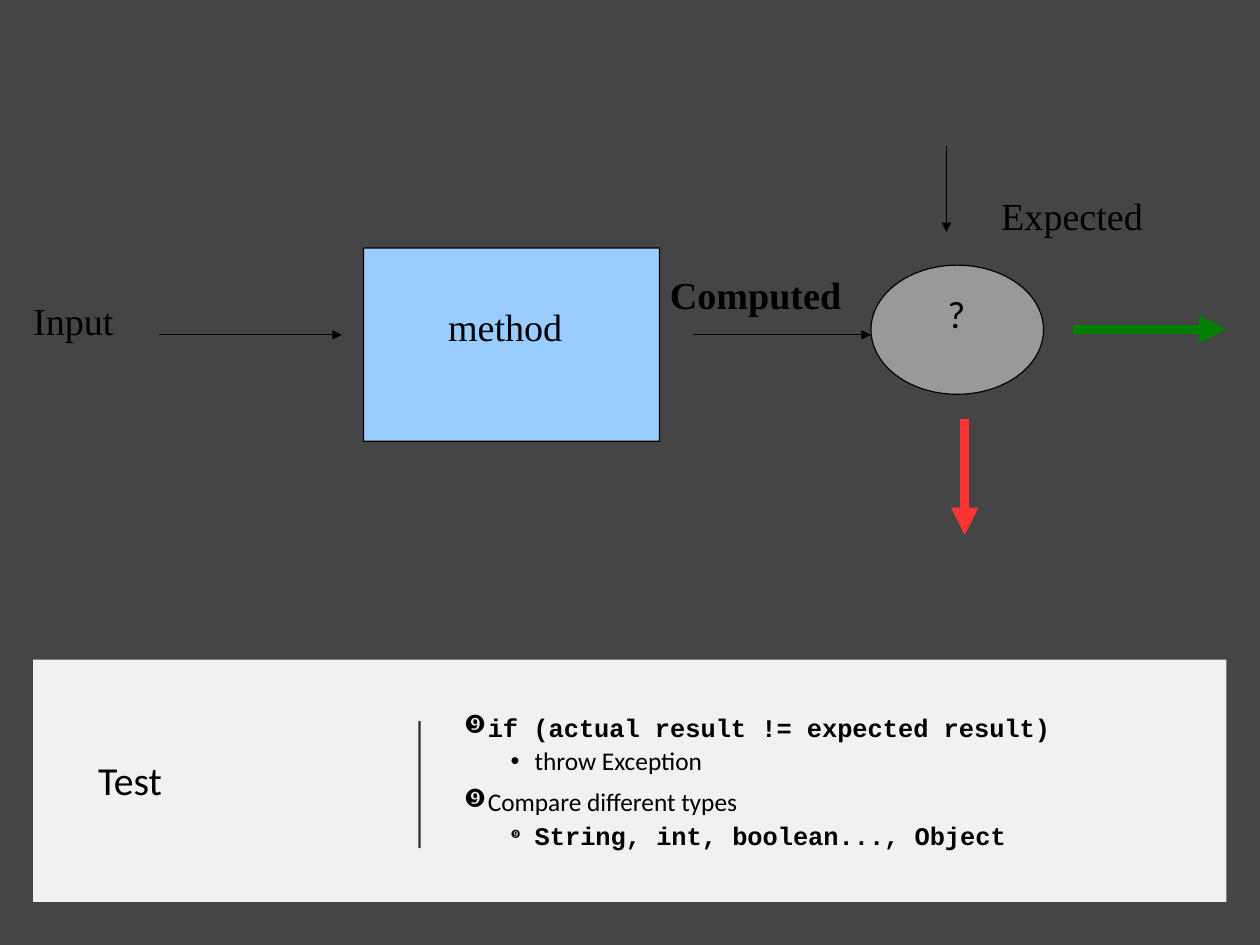
from lxml import etree
from pptx import Presentation
from pptx.dml.color import RGBColor
from pptx.enum.shapes import MSO_CONNECTOR, MSO_SHAPE
from pptx.enum.text import MSO_ANCHOR
from pptx.oxml.ns import qn
from pptx.util import Inches, Pt

STRAIGHT = MSO_CONNECTOR.STRAIGHT
RECTANGLE = MSO_SHAPE.RECTANGLE
ROUNDED = MSO_SHAPE.ROUNDED_RECTANGLE
OVAL = MSO_SHAPE.OVAL
MIDDLE = MSO_ANCHOR.MIDDLE

CM_PER_INCH = 2.54
BLACK = "000000"
SANS, SERIF, MONO = "Calibri", "Times New Roman", "Courier New"
BULLET_FONTS = {"➔": "Wingdings", "•": "Arial"}


def color(hex_string):
    return RGBColor.from_string(hex_string)


def set_alpha(fill, percent):
    """Make the solid fill of a shape or line partly transparent."""
    for element in fill._xPr.iter(qn("a:srgbClr")):
        etree.SubElement(element, qn("a:alpha"), val=str(percent * 1000))


def add_block(slide, kind, left, top, width, height, fill, outline=None):
    shape = slide.shapes.add_shape(
        kind, Inches(left), Inches(top), Inches(width), Inches(height))
    shape.shadow.inherit = False
    shape.fill.solid()
    shape.fill.fore_color.rgb = color(fill)
    if outline:
        shape.line.color.rgb = color(outline)
        shape.line.width = Pt(0.75)
    else:
        shape.line.fill.background()
    return shape


def add_line(slide, start, end, line_color=BLACK, width=0.75, arrow=True):
    connector = slide.shapes.add_connector(
        STRAIGHT, *(Inches(value) for value in (*start, *end)))
    connector.line.color.rgb = color(line_color)
    connector.line.width = Pt(width)
    if arrow:
        etree.SubElement(connector.line._get_or_add_ln(), qn("a:tailEnd"), type="triangle")
    etree.SubElement(connector._element.spPr, qn("a:effectLst"))
    return connector


def add_text_frame(slide, left, top, width, height, **frame_format):
    box = slide.shapes.add_textbox(
        Inches(left), Inches(top), Inches(width), Inches(height))
    frame = box.text_frame
    frame.word_wrap = True
    for name, value in frame_format.items():
        setattr(frame, name, value)
    return frame


def write(paragraph, text, font, size, bold=False, **paragraph_format):
    run = paragraph.add_run()
    run.text = text
    for name, value in {"name": font, "size": Pt(size), "bold": bold}.items():
        setattr(run.font, name, value)
    run.font.color.rgb = color(BLACK)
    for name, value in paragraph_format.items():
        setattr(paragraph, name, value)


def add_bullet(paragraph, character, indent, size_percent):
    properties = paragraph._p.get_or_add_pPr()
    properties.set("marL", str(Inches(indent)))
    properties.set("indent", str(Inches(-0.21)))
    etree.SubElement(properties, qn("a:buSzPct"), val=str(size_percent * 1000))
    etree.SubElement(properties, qn("a:buFont"), typeface=BULLET_FONTS[character])
    etree.SubElement(properties, qn("a:buChar"), char=character)


def build_test_panel(slide, left, top, width, height):
    # Panel
    panel = add_block(slide, RECTANGLE, left, top, width, height, "FFFFFF")
    set_alpha(panel.fill, 93)

    # Title
    text_top, text_height = top + 0.27, height - 0.5
    title = add_text_frame(slide, left + 0.47, text_top, 2.61, text_height,
                           vertical_anchor=MIDDLE)
    write(title.paragraphs[0], "Test", SANS, 25, line_spacing=0.9)

    # Bullet list: text, font, level, bullet, bullet size
    items = [
        ("if (actual result != expected result)", MONO, 0, "➔", 100),
        ("throw Exception", SANS, 1, "•", 100),
        ("Compare different types", SANS, 0, "➔", 100),
        ("String, int, boolean..., Object", MONO, 1, "➔", 45),
    ]
    body = add_text_frame(slide, left + 3.67, text_top, 6.31, text_height,
                          vertical_anchor=MIDDLE)
    for index, (text, font, level, bullet, bullet_size) in enumerate(items):
        paragraph = body.add_paragraph() if index else body.paragraphs[0]
        write(paragraph, text, font, 16, bold=font == MONO, level=level,
              line_spacing=0.9, space_before=Pt(4.1 if level else 8.3))
        add_bullet(paragraph, bullet, 0.62 if level else 0.21, bullet_size)

    # Divider
    divider = add_line(slide, (left + 3.38, top + 1.65), (left + 3.38, top + 0.54),
                       width=1.5, arrow=False)
    set_alpha(divider.line.fill, 80)


def build_flow_diagram(slide, left, top, width, height):
    # Method and comparison
    method = add_block(slide, ROUNDED, left + 2.89, top + 0.89, 2.59, 1.69,
                       "99CCFF", BLACK)
    method.adjustments[0] = 0.001
    add_block(slide, OVAL, left + 7.33, top + 1.04, 1.51, 1.13, "999999", BLACK)

    # Arrows: start, end, color, line width
    arrows = [
        ((1.1, 1.65), (2.7, 1.65), BLACK, 0.75),
        ((5.77, 1.65), (7.33, 1.65), BLACK, 0.75),
        ((7.99, 0), (7.99, 0.75), BLACK, 0.75),
        ((8.15, 2.39), (8.15, height), "FF3333", 5.75),
        ((9.1, 1.6), (width, 1.6), "008000", 5.75),
    ]
    for (x1, y1), (x2, y2), line_color, line_width in arrows:
        add_line(slide, (left + x1, top + y1), (left + x2, top + y2),
                 line_color, line_width)

    # Labels: text, x, y, width, font, bold
    labels = [
        ("?", 8, 1.28, 0.18, SANS, False),
        ("method", 3.63, 1.39, 1.28, SERIF, False),
        ("Expected", 8.47, 0.42, 1.57, SERIF, False),
        ("Computed", 5.57, 1.11, 1.51, SERIF, True),
        ("Input", 0, 1.34, 0.91, SERIF, False),
    ]
    no_margins = {f"margin_{side}": 0 for side in ("left", "top", "right", "bottom")}
    for text, x, y, label_width, font, bold in labels:
        frame = add_text_frame(slide, left + x, top + y, label_width, 0.39, **no_margins)
        write(frame.paragraphs[0], text, font, 24, bold,
              line_spacing=0.98, space_after=Pt(6))


def main():
    presentation = Presentation()
    presentation.slide_width = Inches(28 / CM_PER_INCH)
    presentation.slide_height = Inches(21 / CM_PER_INCH)
    slide = presentation.slides.add_slide(presentation.slide_layouts[6])
    slide.background.fill.solid()
    slide.background.fill.fore_color.rgb = color("454545")

    build_test_panel(slide, 0.29, 5.77, 10.44, 2.12)
    build_flow_diagram(slide, 0.29, 1.28, 10.44, 3.4)
    presentation.save("out.pptx")


if __name__ == "__main__":
    main()
